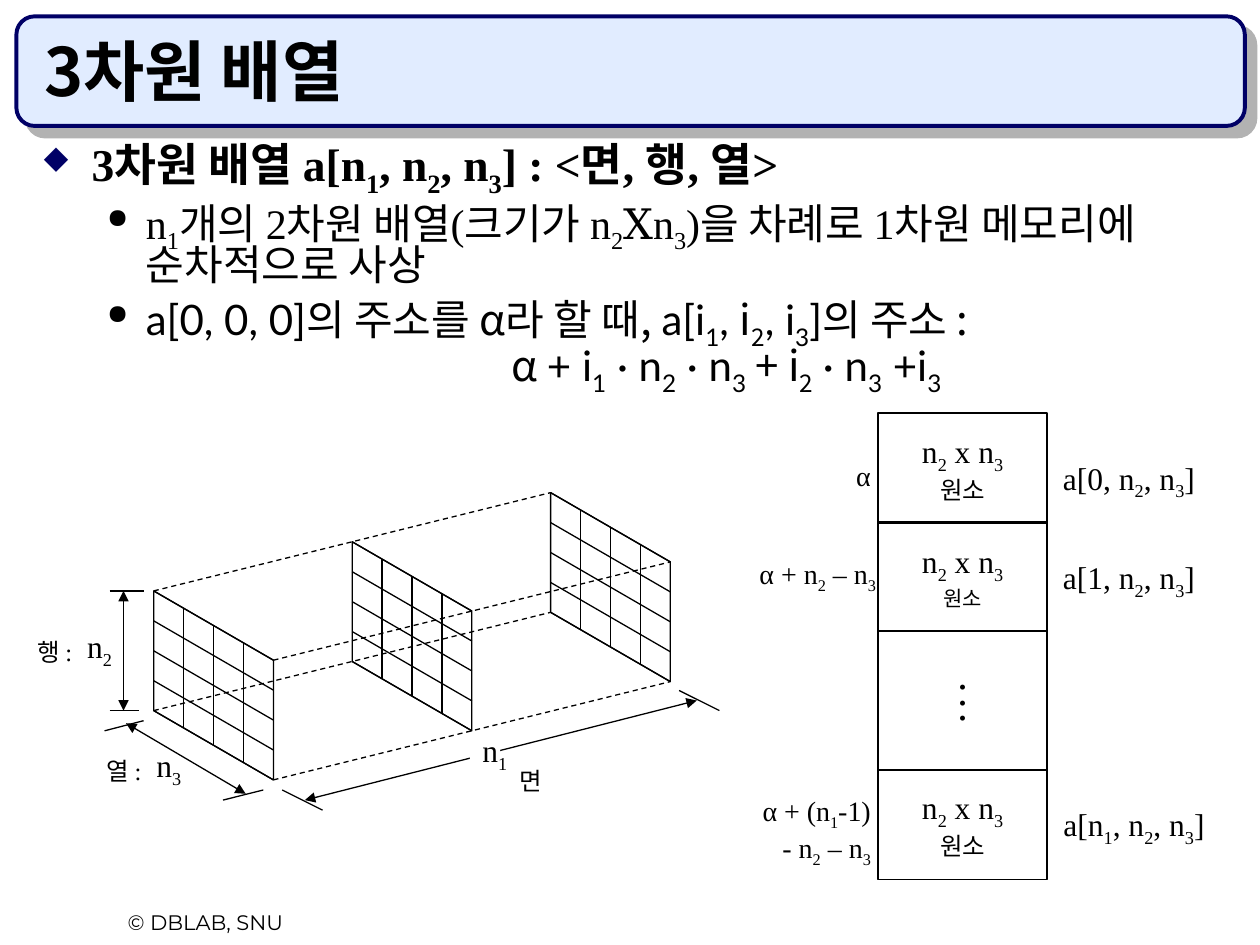
import pptx
import pptx.util
import pptx.dml.color
import pptx.enum.dml
import pptx.enum.shapes
import pptx.enum.text
import pptx.oxml
from lxml import etree
from pptx.util import Inches, Pt

A = "http://schemas.openxmlformats.org/drawingml/2006/main"
SERIF, SANS, KOREAN = "Times New Roman", "Lato", "Noto Sans CJK KR"
PP = pptx.enum.text.PP_ALIGN
MSO = pptx.enum.shapes.MSO_SHAPE
MIDDLE = pptx.enum.text.MSO_ANCHOR.MIDDLE
rgb = pptx.dml.color.RGBColor.from_string


def add_runs(p, text, size, font=SERIF, bold=False):
    """Add text to a paragraph; the character after each _ is a subscript."""
    first, *rest = text.split("_")
    parts = [(first, False)]
    for part in rest:
        parts += [(part[0], True), (part[1:], False)]
    for words, is_sub in parts:
        if not words:
            continue
        r = p.add_run()
        r.text = words
        for name, value in {"size": Pt(size), "bold": bold, "name": font}.items():
            setattr(r.font, name, value)
        r.font.color.rgb = rgb("000000")
        rPr = r.font._element
        etree.SubElement(rPr, f"{{{A}}}ea", typeface=KOREAN)
        if is_sub:
            rPr.set("baseline", "-25000")


def add_line(x1, y1, x2, y2, dashed=False, arrows=False):
    c = s.shapes.add_connector(pptx.enum.shapes.MSO_CONNECTOR.STRAIGHT,
                               Inches(x1), Inches(y1), Inches(x2), Inches(y2))
    c.line.color.rgb = rgb("000000")
    c.line.width = Pt(0.75)
    if dashed:
        c.line.dash_style = pptx.enum.dml.MSO_LINE.DASH
    if arrows:
        for end in ("headEnd", "tailEnd"):
            etree.SubElement(c.line._get_or_add_ln(), f"{{{A}}}{end}", type="triangle")
    etree.SubElement(c._element.spPr, f"{{{A}}}effectLst")


prs = pptx.Presentation()
prs.slide_width, prs.slide_height = Inches(10), Inches(7.5)
s = prs.slides.add_slide(prs.slide_layouts[5])

# Title banner, placed behind the title
banner = s.shapes.add_shape(MSO.ROUNDED_RECTANGLE, Inches(0.13), Inches(0.13),
                            Inches(9.75), Inches(0.87))
banner.fill.solid()
banner.fill.fore_color.rgb = rgb("E1ECFF")
banner.line.color.rgb = rgb("000066")
banner.line.width = Pt(2.25)
banner._element.spPr.append(pptx.oxml.parse_xml(
    f'<a:effectLst xmlns:a="{A}"><a:outerShdw dist="107950" dir="2700000" algn="ctr" '
    'rotWithShape="0"><a:srgbClr val="B2B2B2"/></a:outerShdw></a:effectLst>'))
s.shapes._spTree.insert(2, banner._element)

# Title
title = s.shapes.title
title.left, title.top, title.width, title.height = map(Inches, (0.25, 0.25, 9.42, 0.67))
title.text_frame.vertical_anchor = pptx.enum.text.MSO_ANCHOR.BOTTOM
p = title.text_frame.paragraphs[0]
p.alignment = PP.LEFT
add_runs(p, "3차원 배열", 38, KOREAN, True)

# Body: left margin, indent, bullet, bullet colour, bullet size, space before, size, pieces
body = [
    (0.38, -0.38, "◆", "000066", 70, 0, 26,
     [("3차원 배열 a[n_1, n_2, n_3] : <면, 행, 열>", SERIF)]),
    (0.81, -0.31, "●", "000000", 65, 6, 24,
     [("n_1개의 2차원 배열(크기가 n_2Ⅹn_3)을 차례로 1차원 메모리에 순차적으로 사상", SERIF)]),
    (0.81, -0.31, "●", "000000", 65, 6, 24,
     [("a[0, 0, 0]", SANS), ("의 주소를 α라 할 때, ", KOREAN), ("a[i_1, ", SANS),
      ("i_2", KOREAN), (", i_3]", SANS), ("의 주소 :", KOREAN)]),
    (3.71, 0, None, None, None, 0, 24,
     [("α ", KOREAN), ("+ i_1 · n_2 · n_3", SANS), (" + i_2 ", KOREAN),
      ("· n_3 +i_3", SANS)]),
]
tf = s.shapes.add_textbox(Inches(0.25), Inches(1.08), Inches(9.4), Inches(2.27)).text_frame
tf.word_wrap = True
for i, (margin, indent, mark, colour, percent, before, size, pieces) in enumerate(body):
    p = tf.add_paragraph() if i else tf.paragraphs[0]
    pPr = p._p.get_or_add_pPr()
    pPr.set("marL", str(Inches(margin)))
    pPr.set("indent", str(Inches(indent)))
    if mark:
        clr = etree.SubElement(pPr, f"{{{A}}}buClr")
        etree.SubElement(clr, f"{{{A}}}srgbClr", val=colour)
        etree.SubElement(pPr, f"{{{A}}}buSzPct", val=str(percent * 1000))
        etree.SubElement(pPr, f"{{{A}}}buChar", char=mark)
    p.line_spacing = 0.8
    if before:
        p.space_before = Pt(before)
    for text, font in pieces:
        add_runs(p, text, size, font, bold=i == 0)

# Three planes of 4 x 4 cells
SIDE, SLANT, STEP = 0.95, 0.55, 0.95 / 4
X, Y = 1.22, 4.69
DX, DY = 1.575, -0.39
for plane in range(3):
    x, y = X + plane * DX, Y + plane * DY
    w = SIDE + SLANT
    sp = s.shapes.add_shape(MSO.PARALLELOGRAM, Inches(x + (SIDE - w) / 2),
                            Inches(y + (w - SIDE) / 2), Inches(w), Inches(SIDE))
    sp.rotation = 90
    sp.adjustments[0] = SLANT / SIDE
    sp.shadow.inherit = False
    sp.fill.background()
    sp.line.color.rgb = rgb("000000")
    sp.line.width = Pt(0.75)
    for k in range(5):
        add_line(x, y + k * STEP, x + SIDE, y + SLANT + k * STEP)
    for k in range(1, 4):
        top = y + k * SLANT / 4
        add_line(x + k * STEP, top, x + k * STEP, top + SIDE)

# Dashed edges between the first and last planes
for x, y in [(X, Y), (X, Y + SIDE), (X + SIDE, Y + SLANT), (X + SIDE, Y + SLANT + SIDE)]:
    add_line(x, y, x + 2 * DX, y + 2 * DY, dashed=True)

# Dimension arrows and their end marks
for ends in [(2.42, 6.35, 5.53, 5.56), (1, 5.74, 1.95, 6.3), (0.98, 4.69, 0.98, 5.64)]:
    add_line(*ends, arrows=True)
for ends in [(1.77, 6.35, 2.09, 6.27), (0.83, 5.8, 1.14, 5.72), (2.24, 6.27, 2.56, 6.43),
             (5.39, 5.48, 5.71, 5.64), (0.87, 4.69, 1.14, 4.69), (0.87, 5.64, 1.1, 5.64)]:
    add_line(*ends)

# Dimension symbols: left, top, text, alignment, fill that hides the arrow behind
for left, top, text, align, fill in [(3.73, 5.83, "n_1", PP.LEFT, "FFFFFF"),
                                     (1.22, 5.95, "n_3", PP.CENTER, None),
                                     (0.67, 5.01, "n_2", PP.CENTER, None)]:
    sp = s.shapes.add_shape(MSO.RECTANGLE, Inches(left), Inches(top),
                            Inches(0.24), Inches(0.28))
    sp.shadow.inherit = False
    sp.line.fill.background()
    if fill:
        sp.fill.solid()
        sp.fill.fore_color.rgb = rgb(fill)
    else:
        sp.fill.background()
    tf = sp.text_frame
    tf.word_wrap = False
    tf.vertical_anchor = MIDDLE
    tf.paragraphs[0].alignment = align
    add_runs(tf.paragraphs[0], text, 18)

# Memory cells: top, height, lines with sizes, line spacing
cells = [
    (3.28, 0.87, [("n_2 x n_3", 18), ("원소", 14)], 1),
    (4.14, 0.87, [("n_2 x n_3", 18), ("원소", 12)], 1),
    (5.01, 1.1, [(".", 24)] * 3, 0.3),
    (6.11, 0.87, [("n_2 x n_3", 18), ("원소", 14)], 1),
]
for top, height, lines, spacing in cells:
    sp = s.shapes.add_shape(MSO.RECTANGLE, Inches(6.97), Inches(top),
                            Inches(1.34), Inches(height))
    sp.shadow.inherit = False
    sp.fill.background()
    sp.line.color.rgb = rgb("000000")
    sp.line.width = Pt(0.88)
    tf = sp.text_frame
    tf.vertical_anchor = MIDDLE
    for i, (text, size) in enumerate(lines):
        p = tf.add_paragraph() if i else tf.paragraphs[0]
        p.alignment = PP.CENTER
        p.line_spacing = spacing
        add_runs(p, text, size)

# Labels: left, top, width, height, lines, size, alignment
labels = [
    (0.12, 5.01, 0.63, 0.34, ["행 :"], 14, PP.CENTER),
    (0.67, 5.95, 0.63, 0.34, ["열 :"], 14, PP.CENTER),
    (3.9, 6.03, 0.63, 0.34, ["면"], 14, PP.CENTER),
    (8.23, 3.59, 1.46, 0.44, ["a[0, n_2, n_3]"], 18, PP.CENTER),
    (8.23, 4.38, 1.46, 0.44, ["a[1, n_2, n_3]"], 18, PP.CENTER),
    (8.27, 6.34, 1.46, 0.44, ["a[n_1, n_2, n_3]"], 18, PP.CENTER),
    (5.55, 3.59, 1.46, 0.37, ["α"], 16, PP.RIGHT),
    (5.59, 4.37, 1.46, 0.41, ["α + n_2 – n_3"], 16, PP.RIGHT),
    (5.55, 6.35, 1.46, 0.54, ["α + (n_1-1)", "- n_2 – n_3"], 16, PP.RIGHT),
    (0.42, 7.17, 2.42, 0.3, ["© DBLAB, SNU"], 12, PP.CENTER),
]
for left, top, width, height, lines, size, align in labels:
    tf = s.shapes.add_textbox(Inches(left), Inches(top),
                              Inches(width), Inches(height)).text_frame
    tf.word_wrap = True
    for i, text in enumerate(lines):
        p = tf.add_paragraph() if i else tf.paragraphs[0]
        p.alignment = align
        if len(lines) > 1:
            p.line_spacing = 0.5
        if i:
            p.space_before = Pt(10)
        add_runs(p, text, size, "Montserrat" if text.startswith("©") else SERIF)

prs.save("out.pptx")
